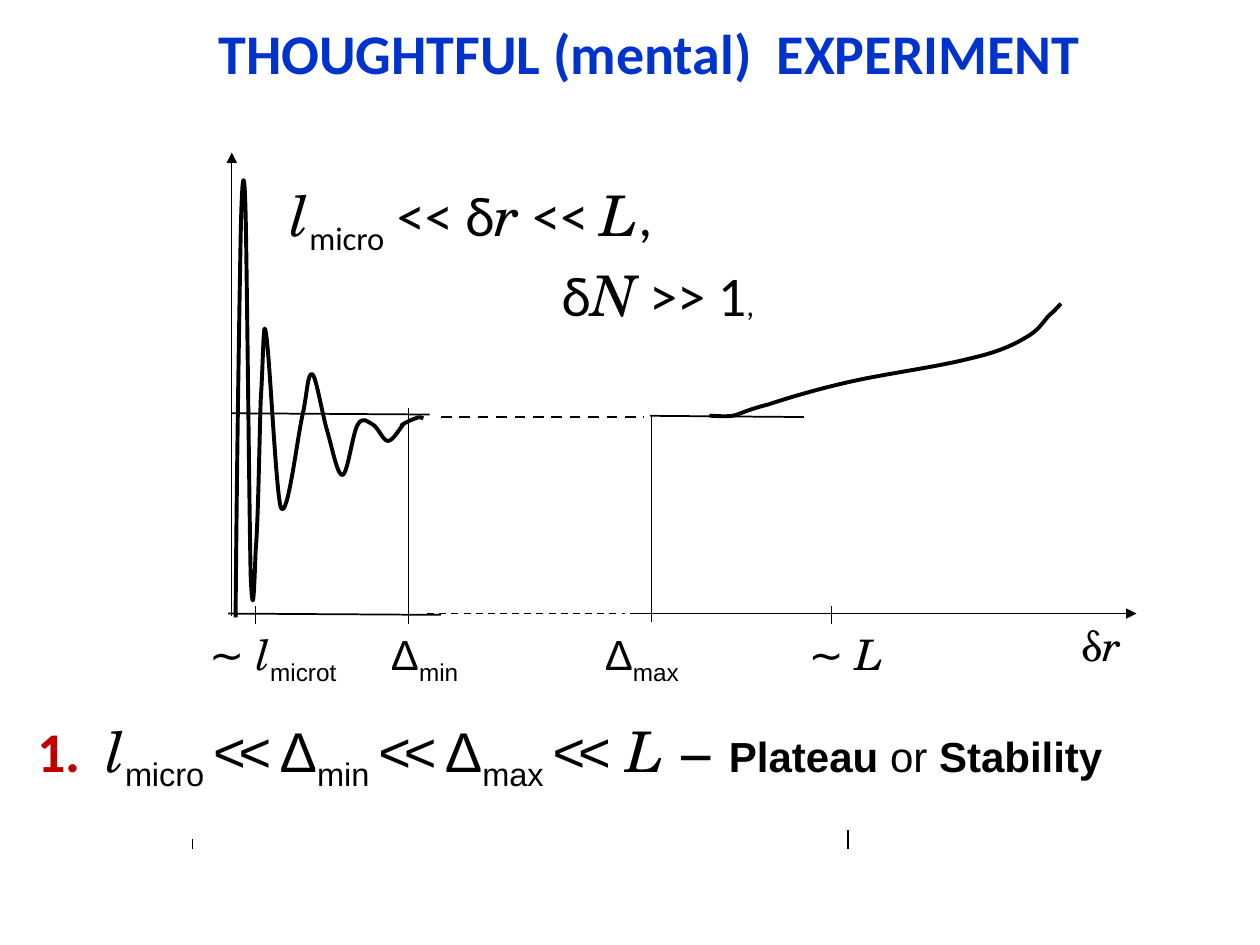
from dataclasses import dataclass

from lxml import etree
from pptx import Presentation
from pptx.dml.color import RGBColor
from pptx.enum.dml import MSO_LINE
from pptx.enum.shapes import MSO_CONNECTOR
from pptx.enum.text import PP_ALIGN
from pptx.oxml.ns import qn
from pptx.util import Emu, Inches, Pt

STRAIGHT = MSO_CONNECTOR.STRAIGHT
DASH = MSO_LINE.DASH
LEFT, CENTER = PP_ALIGN.LEFT, PP_ALIGN.CENTER

SLIDE_W, SLIDE_H = Inches(10), Inches(7.5)
COLUMNS, ROWS = 10, 7.5
BLACK, BLUE, RED = "000000", "0033CC", "C00000"
SANS, ARIAL, MATH = "Calibri", "Arial", "TeX Gyre Schola"

# Landmarks of the chart, in columns and rows
VALUE_AXIS, DELTA_MIN, DELTA_MAX = 1.84, 3.24, 5.17
BASELINE, PLATEAU, TICK_LABELS = 4.87, 3.3, 4.94

Point = tuple[float, float]


@dataclass
class Run:
    text: str
    font: str
    size: float
    color: str = BLACK
    bold: bool = False
    italic: bool = False
    sub: bool = False
    tight: bool = False


@dataclass
class Label:
    left: float
    top: float
    width: float
    height: float
    runs: list[Run]
    align: PP_ALIGN = LEFT


@dataclass
class Rule:
    start: Point
    end: Point
    weight: float = 0.75
    dashed: bool = False
    arrow: bool = False


def col(x: float) -> Emu:
    return Emu(round(SLIDE_W * x / COLUMNS))


def row(y: float) -> Emu:
    return Emu(round(SLIDE_H * y / ROWS))


def rgb(color: str) -> RGBColor:
    return RGBColor.from_string(color)


def set_color(font, color: str) -> None:
    font.color.rgb = rgb(color)


FONT_SETTERS = {
    "font": lambda font, value: setattr(font, "name", value),
    "size": lambda font, value: setattr(font, "size", Pt(value)),
    "bold": lambda font, value: setattr(font, "bold", value),
    "italic": lambda font, value: setattr(font, "italic", value),
    "color": set_color,
}


def draw_label(slide, label: Label) -> None:
    """Set a font property on the paragraph where all runs share it, else on each run."""
    box = slide.shapes.add_textbox(col(label.left), row(label.top),
                                   col(label.width), row(label.height))
    box.text_frame.word_wrap = True
    paragraph = box.text_frame.paragraphs[0]
    paragraph.alignment = label.align
    pieces = []
    for run in label.runs:
        piece = paragraph.add_run()
        piece.text = run.text
        properties = piece.font._element
        if run.sub:
            properties.set("baseline", "-25000")
        if run.tight:
            properties.set("spc", "-410")
        pieces.append(piece)
    for field, apply in FONT_SETTERS.items():
        values = [getattr(run, field) for run in label.runs]
        if len(set(values)) == 1:
            apply(paragraph.font, values[0])
        else:
            for piece, value in zip(pieces, values):
                apply(piece.font, value)


def draw_rule(slide, rule: Rule) -> None:
    (x1, y1), (x2, y2) = rule.start, rule.end
    connector = slide.shapes.add_connector(STRAIGHT, col(x1), row(y1), col(x2), row(y2))
    connector.line.color.rgb = rgb(BLACK)
    connector.line.width = Pt(rule.weight)
    if rule.dashed:
        connector.line.dash_style = DASH
    properties = connector._element.spPr
    if rule.arrow:
        etree.SubElement(properties.find(qn("a:ln")), qn("a:tailEnd"), type="triangle")
    etree.SubElement(properties, qn("a:effectLst"))


def draw_curve(slide, points: list[Point]) -> None:
    """Draw Bezier pieces: a start point, then two controls and an end for each piece."""
    (x, y), *others = [(col(px), row(py)) for px, py in points]
    builder = slide.shapes.build_freeform(x, y)
    builder.add_line_segments(others, close=False)
    curve = builder.convert_to_shape()
    curve.shadow.inherit = False
    curve.fill.background()
    curve.line.color.rgb = rgb(BLACK)
    curve.line.width = Pt(2.25)
    outline = curve._element.spPr.find(".//" + qn("a:path"))
    segments = outline.findall(qn("a:lnTo"))
    for first in range(0, len(segments), 3):
        bezier = etree.SubElement(outline, qn("a:cubicBezTo"))
        for segment in segments[first:first + 3]:
            bezier.append(segment[0])
            outline.remove(segment)


RULES = [
    Rule((1.53, 6.66), (1.53, 6.74)),
    Rule((6.73, 6.59), (6.73, 6.74)),
    Rule((VALUE_AXIS, 4.89), (VALUE_AXIS, 1.21), 0.5, arrow=True),
    Rule((3.5, 3.31), (5.11, 3.31), 1.5, dashed=True),
    Rule((DELTA_MIN, 3.24), (DELTA_MIN, 4.95)),
    Rule((1.81, BASELINE), (3.5, 4.88), 1),
    Rule((3.39, BASELINE), (4.96, BASELINE), 1, dashed=True),
    Rule((5, BASELINE), (9.02, BASELINE), 1, arrow=True),
    Rule((DELTA_MAX, PLATEAU), (DELTA_MAX, 4.94)),
    *[Rule((x, 4.81), (x, 4.95)) for x in (2.03, 6.6)],
    Rule((5.16, PLATEAU), (6.38, 3.31), 1),
    Rule((VALUE_AXIS, 3.28), (3.41, 3.29), 1),
]

DAMPED_OSCILLATION = [
    (1.87, 4.9), (1.88, 3.67), (1.9, 2.44), (1.91, 1.91),
    (1.92, 1.37), (1.94, 1.26), (1.95, 1.71), (1.96, 2.15), (1.98, 4.12), (1.99, 4.57),
    (2.01, 5.01), (2.02, 4.6), (2.03, 4.36), (2.05, 4.13), (2.06, 3.46), (2.07, 3.17),
    (2.09, 2.88), (2.09, 2.49), (2.11, 2.64), (2.14, 2.78), (2.19, 3.92), (2.23, 4.03),
    (2.28, 4.14), (2.36, 3.48), (2.4, 3.3), (2.44, 3.13), (2.44, 2.95), (2.48, 2.97),
    (2.51, 2.99), (2.56, 3.3), (2.6, 3.43), (2.64, 3.57), (2.68, 3.78), (2.72, 3.77),
    (2.76, 3.76), (2.8, 3.43), (2.84, 3.37), (2.88, 3.3), (2.92, 3.35), (2.96, 3.37),
    (3, 3.39), (3.04, 3.5), (3.08, 3.5), (3.12, 3.5), (3.18, 3.39), (3.2, 3.37),
]
PLATEAU_ENTRY = [(3.18, 3.38), (3.22, 3.35), (3.27, 3.33), (3.3, 3.32),
                 (3.33, 3.3), (3.35, 3.32), (3.36, 3.32)]
MACRO_RISE = [
    (5.63, 3.3), (5.68, 3.3), (5.74, 3.31), (5.82, 3.3),
    (5.89, 3.28), (5.94, 3.25), (6.1, 3.21), (6.25, 3.16), (6.48, 3.09), (6.75, 3.03),
    (7.01, 2.97), (7.45, 2.91), (7.68, 2.85), (7.91, 2.8), (8.04, 2.74), (8.14, 2.68),
    (8.25, 2.62), (8.28, 2.55), (8.33, 2.5), (8.38, 2.46), (8.4, 2.43), (8.42, 2.41),
]


def math(text: str, size: float = 32) -> Run:
    return Run(text, MATH, size, italic=True)


def delta(index: str, size: float) -> list[Run]:
    return [Run("Δ", ARIAL, size), Run(index, ARIAL, size, sub=True)]


MUCH_LESS = Run("<< ", ARIAL, 32, tight=True)
LABELS = [
    Label(4.36, 2.02, 1.9, 0.64, [Run("δ", SANS, 32), math("N"), Run(" >> 1", SANS, 32),
                                  Run(",", SANS, 18)]),
    Label(2.21, 1.38, 4.39, 0.64, [
        math("l"), Run("micro", SANS, 32, sub=True), Run(" << δ", SANS, 32), math("r"),
        Run(" << ", SANS, 32), math("L"), Run(",", SANS, 32)]),
    Label(8.31, BASELINE, 0.86, 0.85, [Run("δ", MATH, 24), math("r", 24)], CENTER),
    Label(1.22, TICK_LABELS, 1.89, 0.66,
          [math("∼ l", 24), Run("microt", ARIAL, 24, sub=True)], CENTER),
    Label(2.76, TICK_LABELS, 1.22, 0.49, delta("min", 24), CENTER),
    Label(4.13, TICK_LABELS, 1.93, 0.72, delta("max", 24), CENTER),
    Label(6.32, TICK_LABELS, 0.97, 0.51, [math("∼ L", 24)]),
    Label(0.2, 5.64, 9.21, 0.79, [
        Run("1.  ", SANS, 32, RED, bold=True), math("l"),
        Run("micro ", ARIAL, 32, sub=True), MUCH_LESS, *delta("min ", 32), MUCH_LESS,
        *delta("max ", 32), Run("<<", ARIAL, 32, tight=True), math(" L − "),
        Run("Plateau ", ARIAL, 24, bold=True), Run("or ", ARIAL, 24),
        Run("Stability", ARIAL, 24, bold=True)]),
    Label(0.59, 0.1, 9.13, 0.64,
          [Run("THOUGHTFUL (mental)  EXPERIMENT", SANS, 32, BLUE, bold=True)], CENTER),
]


def main() -> None:
    deck = Presentation()
    deck.slide_width, deck.slide_height = SLIDE_W, SLIDE_H
    slide = deck.slides.add_slide(deck.slide_layouts[6])
    for rule in RULES:
        draw_rule(slide, rule)
    for points in (PLATEAU_ENTRY, DAMPED_OSCILLATION, MACRO_RISE):
        draw_curve(slide, points)
    for label in LABELS:
        draw_label(slide, label)
    deck.save("out.pptx")


if __name__ == "__main__":
    main()
